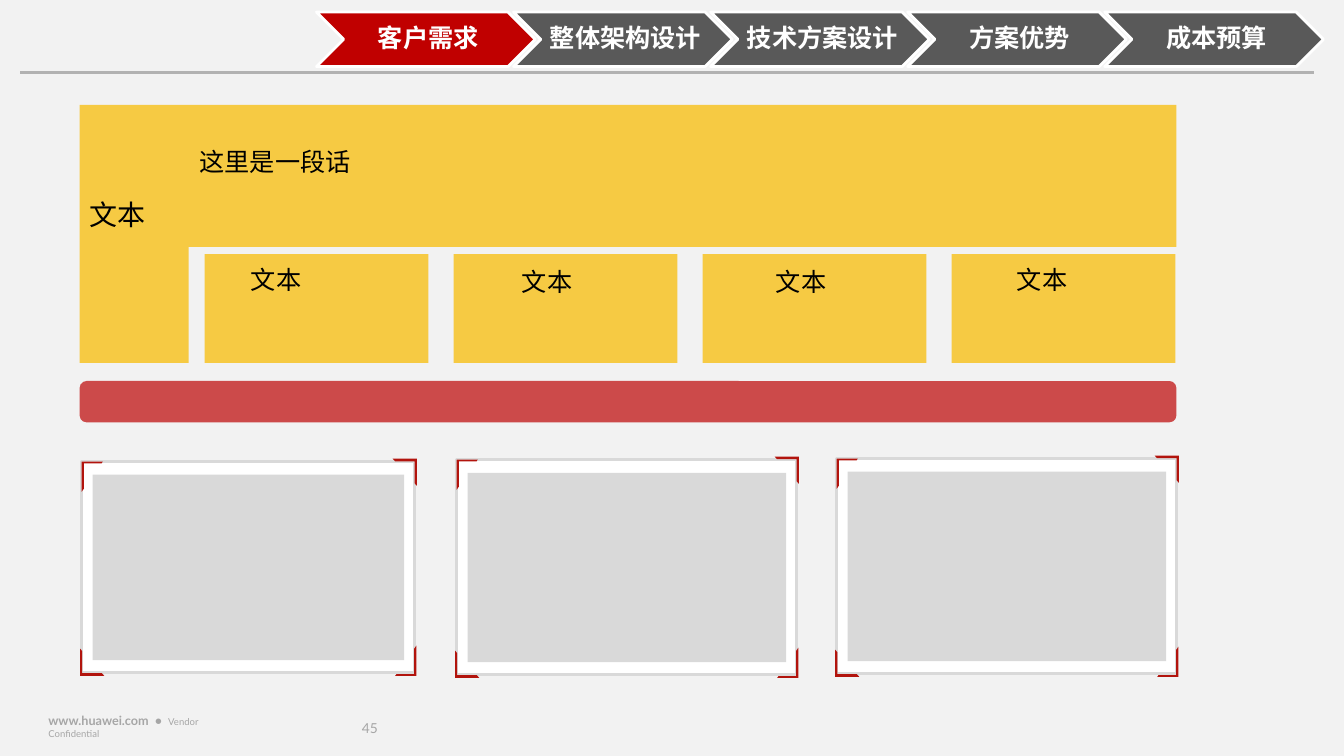
from lxml.etree import SubElement
from pptx import Presentation
from pptx.dml.color import RGBColor
from pptx.enum.shapes import MSO_CONNECTOR as Connector, MSO_SHAPE as Preset
from pptx.enum.text import MSO_ANCHOR as Anchor, PP_ALIGN as Align
from pptx.oxml.ns import qn
from pptx.util import Inches, Pt

# The grid: 75 rows of square cells, 133.3 columns
COLUMNS, ROWS = 133.33, 75
CELL = Inches(7.5) / ROWS

HAN, LATIN = "Noto Sans CJK SC", "Lato"
PAGE, WHITE, BLACK = "F2F2F2", "FFFFFF", "000000"
YELLOW, RED, GREY, DARK = "F6CA43", "CC4A4A", "D9D9D9", "595959"
ACTIVE, CORNER, RULE, FOOTER = "C00000", "B2140D", "B2B2B2", "A6A6A6"

STEPS = ["客户需求", "整体架构设计", "技术方案设计", "方案优势", "成本预算"]
# Label position of each yellow card: column, row
CARD_LABELS = [(23.9, 25.7), (50.8, 25.9), (76, 25.9), (99.9, 25.7)]
# Photo frames: column, row, width, height
FRAMES = [(8.1, 45.8, 33, 20.9), (45.3, 45.6, 33.7, 21.3), (83, 45.5, 33.7, 21.3)]


def cells(*counts):
    return [round(count * CELL) for count in counts]


def color(value):
    return RGBColor.from_string(value)


def add_block(slide, preset, area, fill, outline=None, turn=0, adjust=()):
    block = slide.shapes.add_shape(preset, *cells(*area))
    paint(block, fill, outline)
    block.rotation = turn
    for index, share in enumerate(adjust):
        block.adjustments[index] = share
    return block


def paint(block, fill, outline=None):
    block.shadow.inherit = False
    block.fill.solid()
    block.fill.fore_color.rgb = color(fill)
    if outline:
        block.line.color.rgb = color(outline)
        block.line.width = Pt(2)
    else:
        block.line.fill.background()


def add_label(slide, area, runs, tint, font=HAN, anchor=Anchor.TOP,
              align=Align.LEFT, insets=(1, 0.5, 1, 0.5), spacing=1.0):
    """Each run is (text, size, bold)."""
    frame = slide.shapes.add_textbox(*cells(*area)).text_frame
    frame.word_wrap = True
    frame.vertical_anchor = anchor
    (frame.margin_left, frame.margin_top,
     frame.margin_right, frame.margin_bottom) = cells(*insets)
    line = frame.paragraphs[0]
    line.alignment = align
    line.line_spacing = spacing
    for text, size, bold in runs:
        run = line.add_run()
        run.text = text
        run.font.size = Pt(size)
        run.font.bold = bold
        run.font.name = font
        run.font.color.rgb = color(tint)
        SubElement(run.font._element, qn("a:ea")).set("typeface", HAN)


def add_navigation(slide):
    for index, step in enumerate(STEPS):
        left = 31.4 + 19.55 * index
        add_block(slide, Preset.CHEVRON, (left, 1.2, 21.7, 5.4),
                  DARK if index else ACTIVE, WHITE)
        add_label(slide, (left + 2.7, 1.2, 16.3, 5.4), [(step, 18, True)], WHITE,
                  anchor=Anchor.MIDDLE, align=Align.CENTER,
                  insets=(0.8, 0.3, 0.3, 0.3), spacing=0.9)
    rule = slide.shapes.add_connector(Connector.STRAIGHT, *cells(2, 7.2, 130.4, 7.2))
    rule.line.color.rgb = color(RULE)
    rule.line.width = Pt(2.25)
    SubElement(rule._element.spPr, qn("a:effectLst"))


def add_overview(slide):
    # L-shaped panel
    left, top, right, bottom = 7.9, 10.4, 116.7, 36
    outline = slide.shapes.build_freeform(*cells(left, top))
    outline.add_line_segments([cells(*point) for point in (
        (right, top), (right, 24.5), (18.7, 24.5), (18.7, bottom), (left, bottom))])
    paint(outline.convert_to_shape(), YELLOW)
    add_label(slide, (left, 19.1, 10.9, 4.4), [("文本", 20, False)], BLACK)
    add_label(slide, (18.8, 14, 93.9, 6.8), [("这里是一段话", 18, False)], BLACK, LATIN)

    # Cards inside the panel's corner
    for index, (label_left, label_top) in enumerate(CARD_LABELS):
        add_block(slide, Preset.RECTANGLE,
                  (20.3 + 24.7 * index, 25.2, 22.2, 10.8), YELLOW)
        add_label(slide, (label_left, label_top, 15, 4), [("文本", 18, False)], BLACK)

    # Red bar
    add_block(slide, Preset.ROUNDED_RECTANGLE, (left, 37.8, right - left, 4.1), RED)


def add_photo_frame(slide, left, top, width, height):
    right, bottom = left + width, top + height
    add_block(slide, Preset.RECTANGLE, (left, top, width, height), WHITE, GREY)
    corners = [
        (left, top, 2.1, 3, 0),
        (right - 2.3, top - 0.15, 2.7, 2.4, 90),
        (left - 0.3, bottom - 2.2, 2.7, 2.4, 270),
        (right - 1.9, bottom - 2.65, 2.1, 3, 180),
    ]
    for *area, turn in corners:
        add_block(slide, Preset.HALF_FRAME, area, CORNER, turn=turn,
                  adjust=(0.09, 0.11))
    add_block(slide, Preset.RECTANGLE,
              (left + 1.1, top + 1.3, width - 2.1, height - 2.5), GREY)


def add_footer(slide):
    add_label(slide, (35.9, 71.3, 4, 2.1), [("45", 9.8, False)], FOOTER, LATIN,
              Anchor.MIDDLE, insets=(0, 0, 0, 0), spacing=0.85)
    add_label(slide, (4.1, 70.9, 20.9, 2.3),
              [("www.huawei.com  •  ", 9, True), ("Vendor Confidential", 6.8, False)],
              FOOTER, LATIN, Anchor.MIDDLE, insets=(0.7, 0.4, 0.7, 0.4))


def main():
    deck = Presentation()
    deck.slide_width, deck.slide_height = cells(COLUMNS, ROWS)
    slide = deck.slides.add_slide(deck.slide_layouts[6])
    slide.background.fill.solid()
    slide.background.fill.fore_color.rgb = color(PAGE)

    add_footer(slide)
    add_overview(slide)
    add_navigation(slide)
    for frame in FRAMES:
        add_photo_frame(slide, *frame)
    deck.save("out.pptx")


if __name__ == "__main__":
    main()
